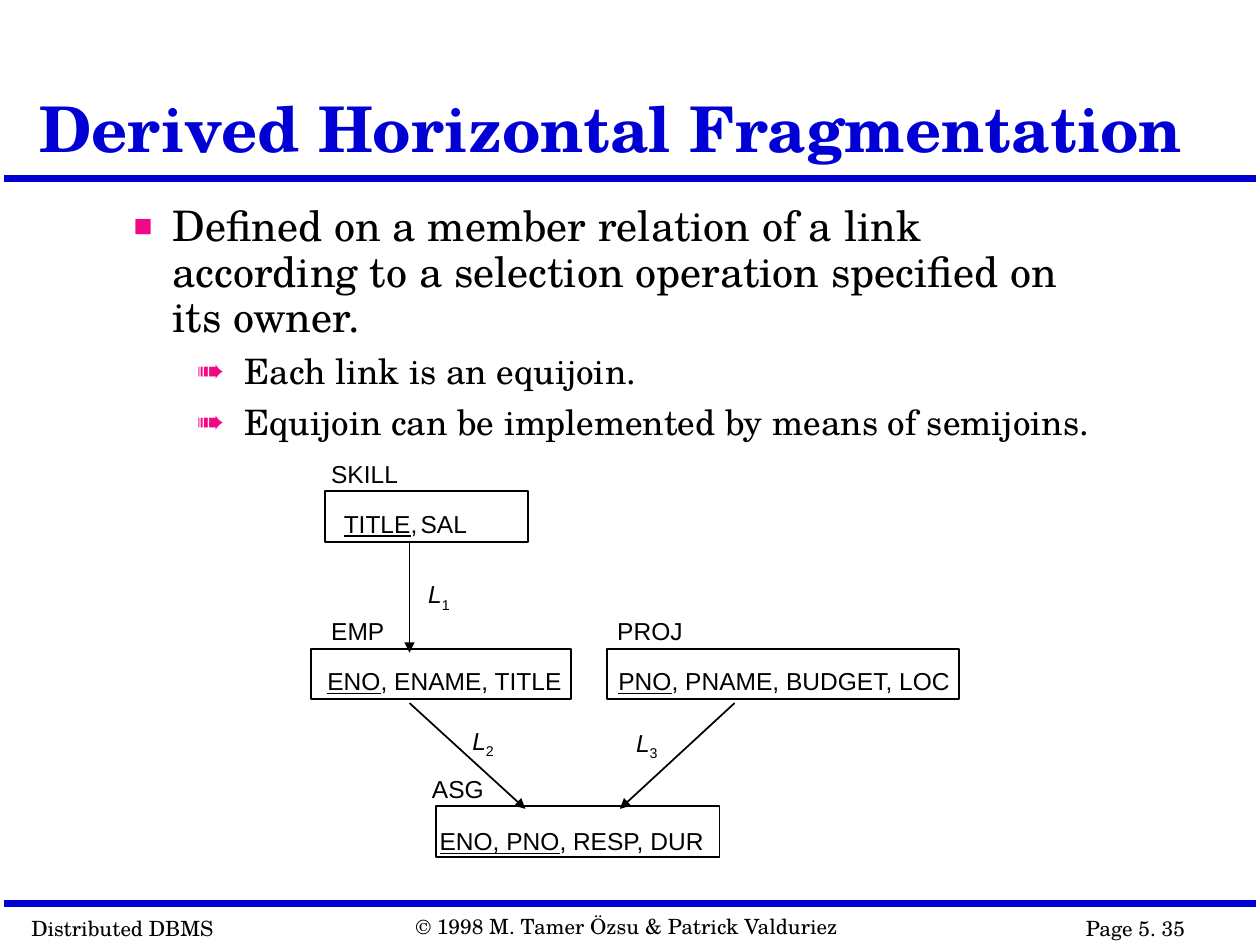
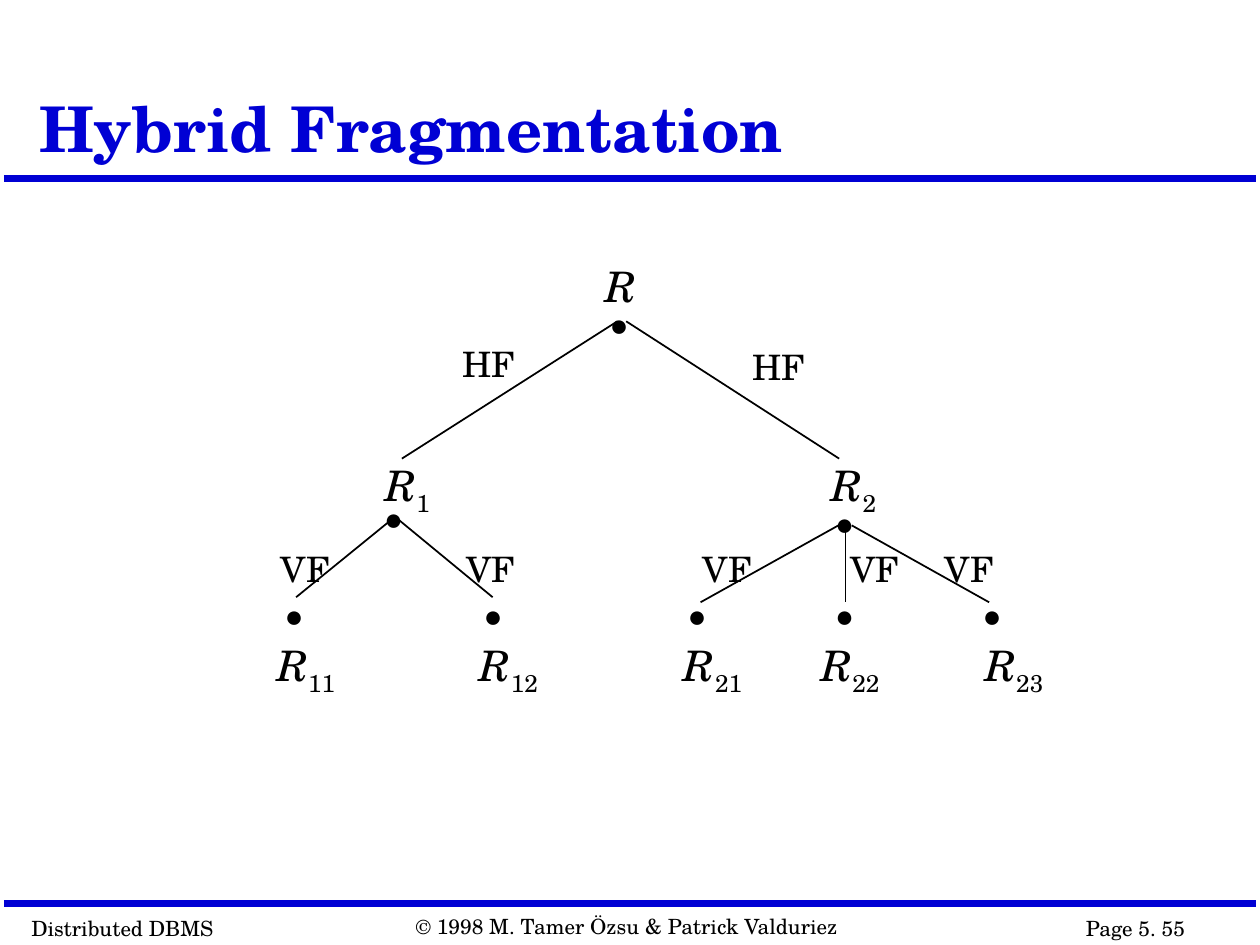
import dataclasses

import lxml.etree
import pptx
import pptx.dml.color
import pptx.enum.shapes
import pptx.enum.text
import pptx.oxml.ns
import pptx.util

PX = 9144  # EMU in one px, 100 px to the inch


def color(value):
    return pptx.dml.color.RGBColor.from_string(value)


@dataclasses.dataclass(frozen=True)
class Theme:
    serif: str = "TeX Gyre Schola"
    sans: str = "Arial"
    blue: str = "0000D4"
    pink: str = "F20884"
    ink: str = "000000"
    paper: str = "FFFFFF"
    title: int = 36
    node: int = 24
    item: int = 24
    subitem: int = 20
    edge: int = 20
    dot: int = 18
    diagram: int = 14
    footer: int = 12
    band: int = 4
    line: int = 1


@dataclasses.dataclass(frozen=True)
class BulletLevel:
    char: str
    percent: int
    margin: int
    hanging: int
    space_before: float
    size: int


class SlideBuilder:
    """Holds the theme and the slide being drawn; all lengths are px."""

    def __init__(self, deck, theme):
        self.deck = deck
        self.theme = theme
        self.slide = None
        self.levels = (BulletLevel("■", 75, 31, 31, 9, theme.item),
                       BulletLevel("➠", 95, 88, 38, 7.5, theme.subitem))

    def start(self, layout_name, title, title_width, page):
        layout = self.deck.slide_layouts.get_by_name(layout_name)
        self.slide = self.deck.slides.add_slide(layout)
        for y in (142, 717):
            self.line((3, y), (997, y), self.theme.blue, self.theme.band)
        self.footer(15, 722, 165, "Distributed DBMS")
        self.footer(852, 722, 161, f"Page 5. {page}")
        self.footer(320, 720, 357, "© 1998 M. Tamer Özsu & Patrick Valduriez")
        self.title(title, title_width)

    def footer(self, left, top, width, words):
        self.text(left, top, width, 30, [(words, "")],
                  self.theme.footer, self.theme.serif)

    def place(self, shape, left, top, width, height):
        shape.left, shape.top = left * PX, top * PX
        shape.width, shape.height = width * PX, height * PX

    def add_run(self, para, words, size, font, ink, style=""):
        """Add a run; style is empty, bold, italic, underline or subscript."""
        span = para.add_run()
        span.text = words
        span.font.size = pptx.util.Pt(size)
        span.font.name = font
        span.font.color.rgb = color(ink)
        if style == "subscript":
            span._r.get_or_add_rPr().set("baseline", "-25000")
        elif style:
            setattr(span.font, style, True)

    def title(self, words, width):
        box = self.slide.shapes.title
        self.place(box, 21, 12, width, 125)
        frame = box.text_frame
        frame.auto_size = pptx.enum.text.MSO_AUTO_SIZE.NONE
        frame.vertical_anchor = pptx.enum.text.MSO_ANCHOR.BOTTOM
        para = frame.paragraphs[0]
        para.alignment = pptx.enum.text.PP_ALIGN.LEFT
        para.line_spacing = 0.9
        self.add_run(para, words, self.theme.title, self.theme.serif,
                     self.theme.blue, "bold")

    def bullets(self, left, top, width, height, items):
        """Fill the body placeholder with (level, words) items."""
        box = self.slide.placeholders[1]
        self.place(box, left, top, width, height)
        frame = box.text_frame
        frame.auto_size = pptx.enum.text.MSO_AUTO_SIZE.NONE
        for index, (depth, words) in enumerate(items):
            para = frame.add_paragraph() if index else frame.paragraphs[0]
            level = self.levels[depth]
            para.level = depth
            para.line_spacing = 0.9
            para.space_before = pptx.util.Pt(level.space_before if index else 0)
            self.add_bullet(para, level)
            self.add_run(para, words, level.size, self.theme.serif,
                         self.theme.ink)

    def add_bullet(self, para, level):
        qn = pptx.oxml.ns.qn
        properties = para._p.get_or_add_pPr()
        properties.set("marL", str(level.margin * PX))
        properties.set("indent", str(-level.hanging * PX))
        tint = lxml.etree.SubElement(properties, qn("a:buClr"))
        lxml.etree.SubElement(tint, qn("a:srgbClr"), val=self.theme.pink)
        lxml.etree.SubElement(properties, qn("a:buSzPct"),
                              val=str(level.percent * 1000))
        lxml.etree.SubElement(properties, qn("a:buChar"), char=level.char)

    def text(self, left, top, width, height, runs, size, font):
        """Add a one-line text box from (words, style) runs."""
        box = self.slide.shapes.add_textbox(left * PX, top * PX,
                                            width * PX, height * PX)
        frame = box.text_frame
        frame.word_wrap = False
        frame.auto_size = pptx.enum.text.MSO_AUTO_SIZE.SHAPE_TO_FIT_TEXT
        for words, style in runs:
            self.add_run(frame.paragraphs[0], words, size, font,
                         self.theme.ink, style)

    def line(self, start, end, ink=None, weight=None, arrow=False):
        line = self.slide.shapes.add_connector(
            pptx.enum.shapes.MSO_CONNECTOR.STRAIGHT,
            *(value * PX for value in (*start, *end)))
        line.line.color.rgb = color(ink or self.theme.ink)
        line.line.width = pptx.util.Pt(weight or self.theme.line)
        qn = pptx.oxml.ns.qn
        if arrow:
            lxml.etree.SubElement(line.line._get_or_add_ln(), qn("a:tailEnd"),
                                  type="triangle")
        lxml.etree.SubElement(line._element.spPr, qn("a:effectLst"))

    def rectangle(self, left, top, width, height):
        box = self.slide.shapes.add_shape(
            pptx.enum.shapes.MSO_SHAPE.RECTANGLE,
            left * PX, top * PX, width * PX, height * PX)
        box.shadow.inherit = False
        box.fill.solid()
        box.fill.fore_color.rgb = color(self.theme.paper)
        box.line.color.rgb = color(self.theme.ink)
        box.line.width = pptx.util.Pt(self.theme.line)

    def diagram_text(self, left, top, width, runs, height=33):
        self.text(left, top, width, height, runs,
                  self.theme.diagram, self.theme.sans)

    def relation(self, left, top, width, name, attributes, drop=9):
        """Draw a box, its (words, left, width) name and attribute texts."""
        self.rectangle(left, top, width, 40)
        words, name_left, name_width = name
        self.diagram_text(name_left, top - 31, name_width, [(words, "")])
        for text_left, text_width, runs in attributes:
            self.diagram_text(text_left, top + drop, text_width, runs)

    def link(self, start, end, number, left, top):
        self.line(start, end, arrow=True)
        self.diagram_text(left, top, 38,
                          [("L", "italic"), (number, "subscript")], 36)

    def node(self, left, top, subscript=""):
        runs = [("R", "italic")]
        if subscript:
            runs.append((subscript, "subscript"))
        width = (45, 58, 68)[len(subscript)]
        self.text(left, top, width, 55 if subscript else 50, runs,
                  self.theme.node, self.theme.serif)

    def dot(self, left, top):
        self.text(left, top, 39, 40, [("●", "")],
                  self.theme.dot, self.theme.sans)

    def edge(self, start, end, words, left, top):
        self.line(start, end)
        self.text(left, top, 62 if words == "HF" else 59, 43, [(words, "")],
                  self.theme.edge, self.theme.serif)


def derived_fragmentation(page):
    page.start("Title and Content", "Derived Horizontal Fragmentation", 929, 35)
    page.bullets(96, 158, 783, 208, [
        (0, "Defined on a member relation of a link according to a selection "
            "operation specified on its owner."),
        (1, "Each link is an equijoin."),
        (1, "Equijoin can be implemented by means of semijoins."),
    ])
    skill_top, middle_top, asg_top = (390 + 125 * row for row in range(3))
    page.relation(258, skill_top, 161, ("SKILL", 253, 73), [
        (263, 81, [("TITLE", "underline"), (",", "")]),
        (324, 57, [("SAL", "")])])
    page.relation(247, middle_top, 206, ("EMP", 253, 62), [
        (250, 208, [("ENO", "underline"), (", ENAME, TITLE", "")])])
    page.relation(482, middle_top, 279, ("PROJ", 480, 72), [
        (481, 287, [("PNO", "underline"), (", PNAME, BUDGET, LOC", "")])])
    page.relation(346, asg_top, 225, ("ASG", 333, 61), [
        (339, 123, [("ENO, PNO", "underline"), (",", "")]),
        (445, 126, [("RESP, DUR", "")])], drop=11)
    page.link((325, 431), (325, 518), "1", 330, 455)
    page.link((325, 558), (417, 642), "2", 365, 571)
    page.link((583, 558), (492, 642), "3", 495, 573)


def hybrid_fragmentation(page):
    page.start("Title Only", "Hybrid Fragmentation", 783, 55)
    page.node(471, 202)
    page.edge((490, 255), (319, 364), "HF", 357, 267)
    page.edge((497, 255), (666, 364), "HF", 587, 269)
    page.node(296, 360, "1")
    page.node(650, 360, "2")

    vertical_edges = [((310, 413), (235, 474), 213),
                      ((317, 413), (391, 474), 360),
                      ((669, 415), (556, 478), 548),
                      ((671, 415), (671, 478), 665),
                      ((676, 417), (785, 478), 740)]
    for start, end, label_left in vertical_edges:
        page.edge(start, end, "VF", label_left, 430)

    for left, top in ((474, 237), (295, 391), (653, 395)):
        page.dot(left, top)
    leaves = [("11", 210, 216), ("12", 371, 374), ("21", 533, 536),
              ("22", 642, 653), ("23", 772, 770)]
    for subscript, label_left, dot_left in leaves:
        page.node(label_left, 503, subscript)
        page.dot(dot_left, 468)


def main():
    deck = pptx.Presentation()
    deck.slide_width, deck.slide_height = 1000 * PX, 750 * PX
    page = SlideBuilder(deck, Theme())
    derived_fragmentation(page)
    hybrid_fragmentation(page)
    deck.save("out.pptx")


if __name__ == "__main__":
    main()
